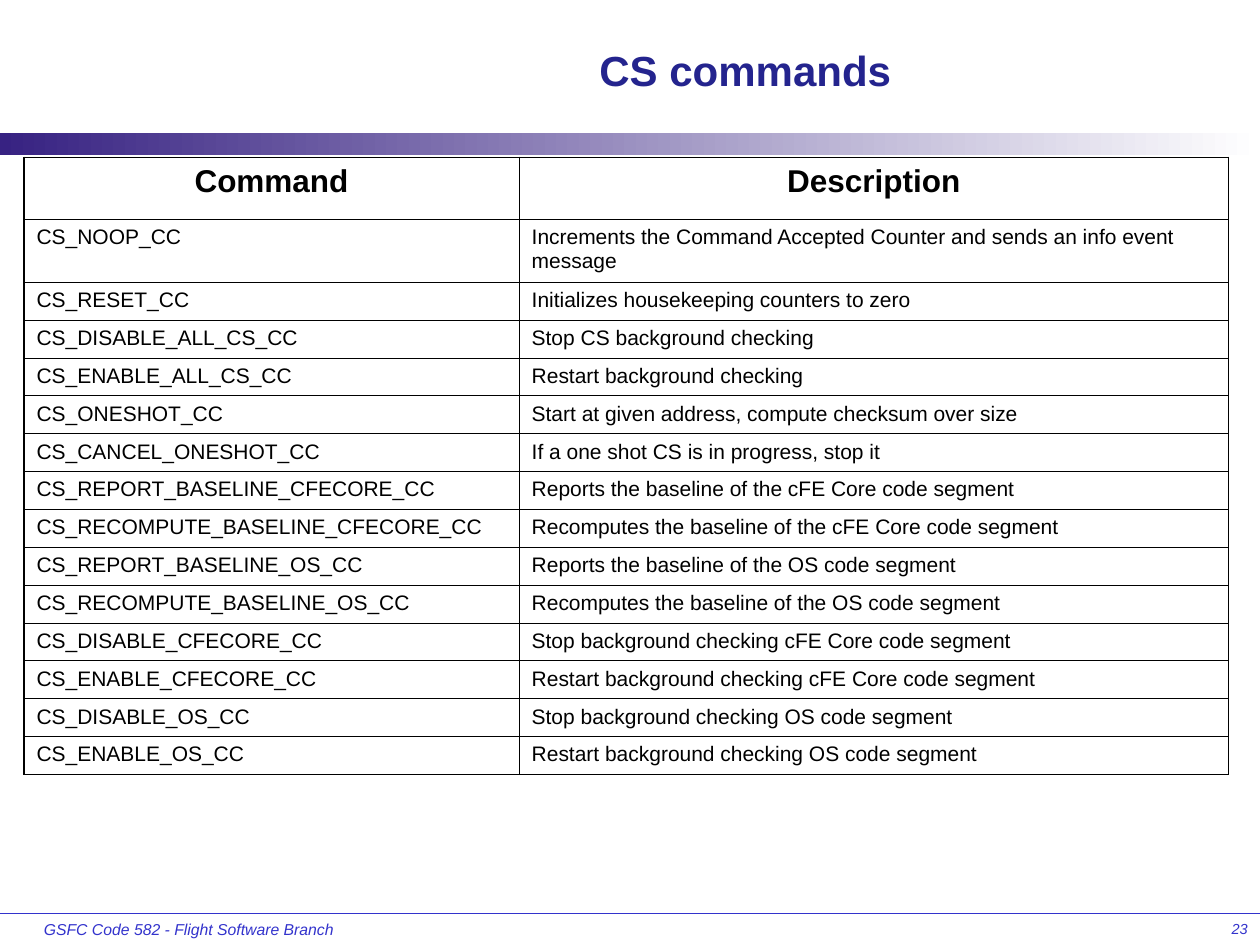
from typing import NamedTuple

from lxml import etree
from pptx import Presentation
from pptx.dml.color import RGBColor
from pptx.enum.shapes import MSO_CONNECTOR, MSO_SHAPE
from pptx.enum.text import MSO_ANCHOR, PP_ALIGN
from pptx.oxml.ns import qn
from pptx.util import Inches, Pt

LEFT, CENTER, RIGHT = PP_ALIGN.LEFT, PP_ALIGN.CENTER, PP_ALIGN.RIGHT
TOP, MIDDLE = MSO_ANCHOR.TOP, MSO_ANCHOR.MIDDLE
STRAIGHT, RECTANGLE = MSO_CONNECTOR.STRAIGHT, MSO_SHAPE.RECTANGLE

FOOTER_BLUE = "3333CC"
BLACK = "000000"
THICK, THIN = 1.08, 0.45
COLUMN_WIDTHS = (3.93, 5.63)
HEADER_HEIGHT, TWO_LINE_HEIGHT, ROW_HEIGHT = 0.49, 0.5, 0.3


class Label(NamedTuple):
    text: str
    left: float
    top: float
    width: float
    height: float
    size: float
    color: str
    alignment: PP_ALIGN = LEFT
    anchor: MSO_ANCHOR = TOP
    bold: bool = False
    italic: bool = False
    wrap: bool = True


class Command(NamedTuple):
    name: str
    description: str
    height: float = ROW_HEIGHT


LABELS = [
    Label("GSFC Code 582 - Flight Software Branch", 0.25, 7.25, 2.5, 0.25, 9,
          FOOTER_BLUE, italic=True, wrap=False),
    Label("23", 7.92, 7.25, 2.08, 0.25, 8.3, FOOTER_BLUE, RIGHT, italic=True),
    Label("CS commands", 2.08, 0.17, 7.67, 0.76, 24, "24248E", CENTER, MIDDLE, bold=True),
]

ROWS = [
    Command("Command", "Description", HEADER_HEIGHT),
    Command("CS_NOOP_CC",
            "Increments the Command Accepted Counter and sends an info event message",
            TWO_LINE_HEIGHT),
    Command("CS_RESET_CC", "Initializes housekeeping counters to zero"),
    Command("CS_DISABLE_ALL_CS_CC", "Stop CS background checking"),
    Command("CS_ENABLE_ALL_CS_CC", "Restart background checking"),
    Command("CS_ONESHOT_CC", "Start at given address, compute checksum over size"),
    Command("CS_CANCEL_ONESHOT_CC", "If a one shot CS is in progress, stop it"),
    Command("CS_REPORT_BASELINE_CFECORE_CC", "Reports the baseline of the cFE Core code segment"),
    Command("CS_RECOMPUTE_BASELINE_CFECORE_CC",
            "Recomputes the baseline of the cFE Core code segment"),
    Command("CS_REPORT_BASELINE_OS_CC", "Reports the baseline of the OS code segment"),
    Command("CS_RECOMPUTE_BASELINE_OS_CC", "Recomputes the baseline of the OS code segment"),
    Command("CS_DISABLE_CFECORE_CC", "Stop background checking cFE Core code segment"),
    Command("CS_ENABLE_CFECORE_CC", "Restart background checking cFE Core code segment"),
    Command("CS_DISABLE_OS_CC", "Stop background checking OS code segment"),
    Command("CS_ENABLE_OS_CC", "Restart background checking OS code segment"),
]


def rgb(color: str) -> RGBColor:
    return RGBColor.from_string(color)


def write_text(text_frame, text: str, alignment: PP_ALIGN, color: str, size: float,
               bold: bool = False, italic: bool = False) -> None:
    paragraph = text_frame.paragraphs[0]
    paragraph.alignment = alignment
    run = paragraph.add_run()
    run.text = text
    font_format = {"name": "Arial", "size": Pt(size), "bold": bold, "italic": italic}
    for attribute, value in font_format.items():
        setattr(run.font, attribute, value)
    run.font.color.rgb = rgb(color)


def add_label(slide, label: Label) -> None:
    box = slide.shapes.add_textbox(Inches(label.left), Inches(label.top),
                                   Inches(label.width), Inches(label.height))
    box.text_frame.word_wrap = label.wrap
    box.text_frame.vertical_anchor = label.anchor
    write_text(box.text_frame, label.text, label.alignment, label.color, label.size,
               label.bold, label.italic)


def add_footer_line(slide) -> None:
    line = slide.shapes.add_connector(STRAIGHT, Inches(0), Inches(7.25), Inches(10), Inches(7.25))
    line.line.color.rgb = rgb(FOOTER_BLUE)
    line.line.width = Pt(0.75)
    etree.SubElement(line._element.spPr, qn("a:effectLst"))


def add_gradient_band(slide) -> None:
    band = slide.shapes.add_shape(RECTANGLE, Inches(0), Inches(1.06), Inches(10), Inches(0.17))
    band.shadow.inherit = False
    band.line.fill.background()
    band.fill.gradient()
    band.fill.gradient_angle = 0
    for stop, position, color in zip(band.fill.gradient_stops, (0, 1), ("372282", "FFFFFF")):
        stop.position = position
        stop.color.rgb = rgb(color)


def set_borders(cell, widths: dict[str, float]) -> None:
    properties = cell._tc.get_or_add_tcPr()
    for side, width in widths.items():
        border = etree.SubElement(properties, qn(f"a:ln{side}"), w=str(Pt(width)))
        fill = etree.SubElement(border, qn("a:solidFill"))
        etree.SubElement(fill, qn("a:srgbClr"), val=BLACK)


def add_command_table(slide) -> None:
    table = slide.shapes.add_table(
        len(ROWS), len(COLUMN_WIDTHS), Inches(0.19), Inches(1.25),
        Inches(sum(COLUMN_WIDTHS)), Inches(sum(row.height for row in ROWS))).table
    table.first_row = table.horz_banding = False
    for column, width in zip(table.columns, COLUMN_WIDTHS):
        column.width = Inches(width)
    for row_index, row in enumerate(ROWS):
        table.rows[row_index].height = Inches(row.height)
        is_header = row_index == 0
        for column_index, text in enumerate((row.name, row.description)):
            cell = table.cell(row_index, column_index)
            set_borders(cell, {
                "L": THICK if column_index == 0 else THIN,
                "R": THICK if column_index == len(COLUMN_WIDTHS) - 1 else THIN,
                "T": THICK if is_header else THIN,
                "B": THIN,
            })
            cell.fill.background()
            write_text(cell.text_frame, text, CENTER if is_header else LEFT, BLACK,
                       18 if is_header else 12, bold=is_header)


def main() -> None:
    presentation = Presentation()
    presentation.slide_width, presentation.slide_height = Inches(10), Inches(7.5)
    slide = presentation.slides.add_slide(presentation.slide_layouts[6])
    add_footer_line(slide)
    add_gradient_band(slide)
    for label in LABELS:
        add_label(slide, label)
    add_command_table(slide)
    presentation.save("out.pptx")


if __name__ == "__main__":
    main()
